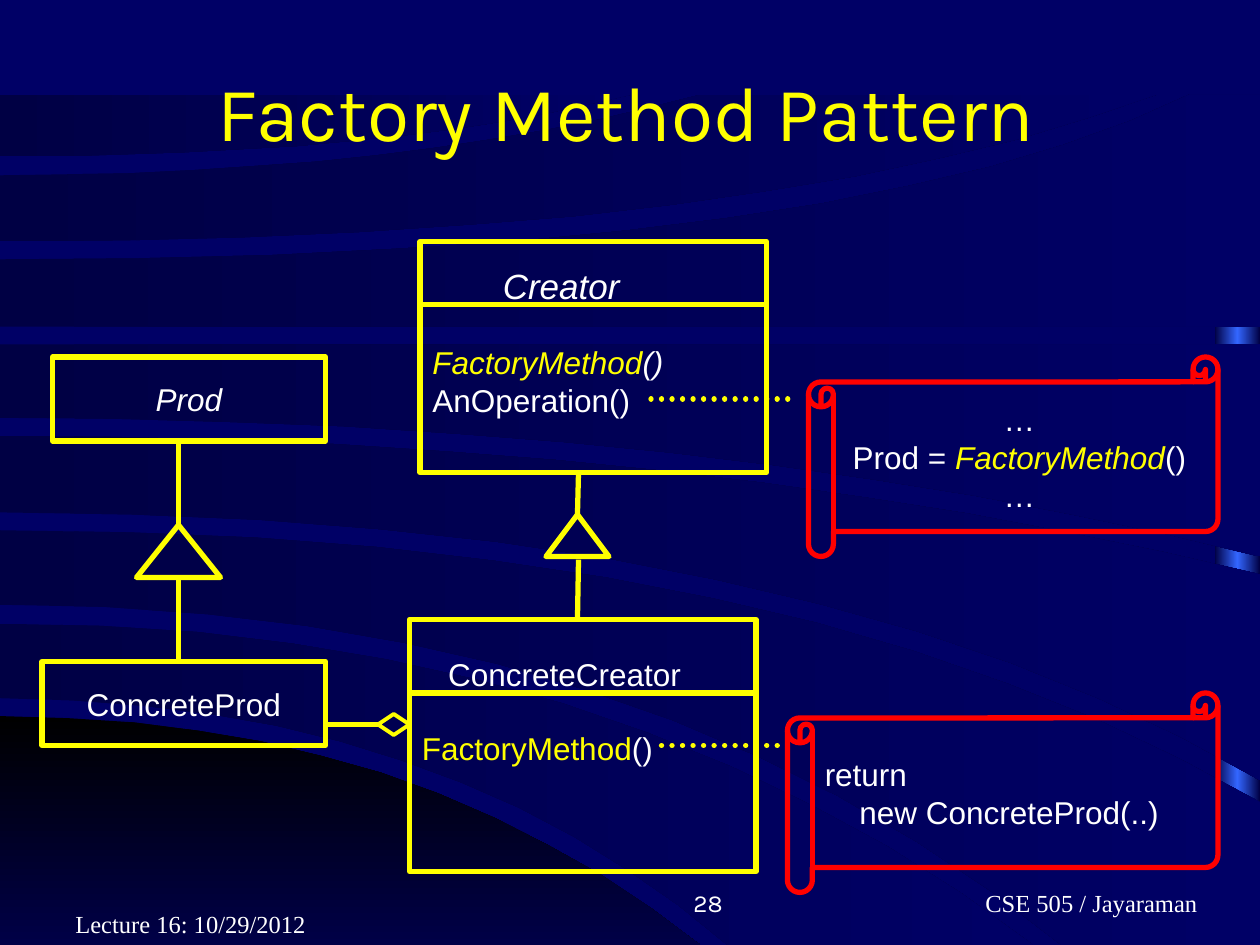
import pptx
import pptx.util
import pptx.dml.color
import pptx.enum.dml
import pptx.enum.shapes
import pptx.enum.text
import pptx.oxml.ns
import lxml.etree as etree

PX = 7620  # EMU per px: 120 px to the inch
HUES = {"back": "000066", "dark": "000044", "black": "000000", "fade": "000047",
        "glow": "3366FF", "main": "FFFF00", "text": "FFFFFF", "note": "FF0000"}
KIND = pptx.enum.shapes.MSO_SHAPE
SIDE = pptx.enum.text.PP_ALIGN
HOLD = pptx.enum.text.MSO_ANCHOR


def tone(name):
    return pptx.dml.color.RGBColor.from_string(HUES[name])


def curve(start, pull, x, y, steps=12):
    """Arc that leaves the left edge level at start, pulled at x = pull, to (x, y)."""
    times = [i / steps for i in range(steps + 1)]
    return [(round(2 * pull * t * (1 - t) + x * t * t),
             round(start + (y - start) * t * t)) for t in times]


def flat(y, x):
    return [(0, y), (x, y)]


class Deck:
    font, size, pen = "Arial", 18, 3

    def __init__(self):
        self.show = pptx.Presentation()
        self.show.slide_width, self.show.slide_height = 1200 * PX, 900 * PX
        self.slide = self.show.slides.add_slide(self.show.slide_layouts[6])
        fill = self.slide.background.fill
        fill.solid()
        fill.fore_color.rgb = tone("back")
        self.shapes = self.slide.shapes

    def blend(self, shape, hues, angle=0):
        """Gradient through evenly spaced hues, without outline."""
        shape.shadow.inherit = False
        shape.line.fill.background()
        shape.fill.gradient()
        shape.fill.gradient_angle = angle
        stops = shape.fill._fill._gradFill.gsLst
        for stop in list(stops):
            stops.remove(stop)
        for i, hue in enumerate(hues):
            spot = str(100000 * i // (len(hues) - 1))
            stop = etree.SubElement(stops, pptx.oxml.ns.qn("a:gs"), pos=spot)
            etree.SubElement(stop, pptx.oxml.ns.qn("a:srgbClr"), val=HUES[hue])

    def block(self, x, y, w, h, hues):
        self.blend(self.shapes.add_shape(KIND.RECTANGLE, x * PX, y * PX, w * PX, h * PX), hues)

    def band(self, top, base, hues=("dark", "back"), angle=0):
        """Area between two arcs, squared off where they end apart."""
        ends = sorted([top[-1], base[-1]])
        points = top + [(ends[1][0], ends[0][1])] + base[::-1]
        form = self.shapes.build_freeform(*points[0], scale=PX)
        form.add_line_segments(points[1:], close=True)
        self.blend(form.convert_to_shape(), hues, angle)

    def fill(self, shape, paras, align, anchor, top, font, size):
        """Each para is (runs, indent px, gap pt, size); a run is (text, hue, italic)."""
        frame = shape.text_frame
        frame.word_wrap = True
        frame.vertical_anchor = anchor
        frame.margin_top = top * PX
        for i, (runs, indent, gap, own) in enumerate(paras):
            para = frame.paragraphs[0] if i == 0 else frame.add_paragraph()
            para.alignment = align
            if indent:
                para._p.get_or_add_pPr().set("marL", str(indent * PX))
                para._p.get_or_add_pPr().set("indent", "0")
            if gap:
                para.space_before = pptx.util.Pt(gap)
            para.font.name, para.font.size = font, pptx.util.Pt(own or size)
            for text, hue, slant in runs:
                run = para.add_run()
                run.text = text
                run.font.color.rgb = tone(hue)
                run.font.italic = slant

    def label(self, x, y, w, h, text, font, size=14, hue="text",
              align=SIDE.LEFT, anchor=HOLD.BOTTOM, indent=0):
        box = self.shapes.add_textbox(x * PX, y * PX, w * PX, h * PX)
        self.fill(box, [line((text, hue, False), indent=indent)], align, anchor, 6, font, size)

    def shape(self, kind, x, y, w, h, paras=(), hue="main", pen=None,
              align=SIDE.CENTER, anchor=HOLD.MIDDLE, top=6):
        shape = self.shapes.add_shape(kind, x * PX, y * PX, w * PX, h * PX)
        shape.shadow.inherit = False
        shape.fill.background()
        shape.line.color.rgb = tone(hue)
        shape.line.width = pptx.util.Pt(pen or self.pen)
        self.fill(shape, paras, align, anchor, top, self.font, self.size)

    def rule(self, x1, y1, x2, y2, dots=False):
        rule = self.shapes.add_connector(pptx.enum.shapes.MSO_CONNECTOR.STRAIGHT,
                                         x1 * PX, y1 * PX, x2 * PX, y2 * PX)
        rule.line.color.rgb = tone("main")
        rule.line.width = pptx.util.Pt(self.pen)
        if dots:
            rule.line.dash_style = pptx.enum.dml.MSO_LINE.ROUND_DOT
            rule.line._get_or_add_ln().set("cap", "rnd")
        etree.SubElement(rule._element.spPr, pptx.oxml.ns.qn("a:effectLst"))


def line(*runs, indent=0, gap=0, size=None):
    return runs, indent, gap, size


def word(text, hue="text", slant=False):
    return text, hue, slant


def main():
    deck = Deck()

    # Backdrop bands, from the lowest up
    deck.block(1157, 92, 43, 808, ("dark", "glow", "dark"))
    deck.band(curve(682, 392, 667, 900), flat(900, 667), ("black", "fade"), 270)
    deck.band(curve(594, 581, 984, 900), curve(665, 418, 693, 900))
    deck.band(curve(505, 758, 1200, 764), curve(576, 611, 1011, 900))
    deck.band(curve(415, 657, 1200, 547), curve(488, 765, 1200, 743))
    deck.band(flat(328, 1200), curve(398, 676, 1200, 530))
    deck.band(curve(247, 816, 1133, 90), flat(311, 1200))
    deck.band(curve(167, 381, 668, 90), curve(230, 729, 1102, 90))
    deck.band(flat(90, 602), curve(149, 370, 602, 90))

    # Title and footer
    deck.label(30, 30, 1080, 150, "Factory Method Pattern", "Karla", 44, "main",
               SIDE.CENTER, HOLD.MIDDLE, indent=53)
    deck.label(790, 820, 380, 60, "CSE 505 / Jayaraman", "Times New Roman",
               align=SIDE.CENTER, indent=119)
    deck.label(450, 820, 250, 60, "28", "Karla", align=SIDE.RIGHT)
    deck.label(60, 840, 250, 60, "Lecture 16: 10/29/2012", "Times New Roman")

    # Product classes
    deck.shape(KIND.RECTANGLE, 50, 340, 260, 80, [line(word("Prod", slant=True))])
    deck.shape(KIND.RECTANGLE, 40, 630, 270, 80, [line(word("ConcreteProd"))])
    deck.shape(KIND.FLOWCHART_EXTRACT, 130, 500, 80, 50)
    deck.rule(170, 630, 170, 550)
    deck.rule(170, 500, 170, 420)

    # Creator classes, with one line of space under each name
    skip = 20.7
    deck.shape(KIND.RECTANGLE, 400, 230, 330, 220, [
        line(word("Creator", slant=True), indent=67, size=20),
        line(word("FactoryMethod", "main", True), word("()", slant=True), gap=skip),
        line(word("AnOperation()"))], align=SIDE.LEFT, anchor=HOLD.TOP, top=22)
    deck.rule(400, 290, 730, 290)
    deck.shape(KIND.RECTANGLE, 390, 590, 330, 240, [
        line(word("ConcreteCreator"), indent=25),
        line(word("FactoryMethod", "main"), word("()"), gap=skip)],
        align=SIDE.LEFT, anchor=HOLD.TOP, top=34)
    deck.rule(390, 660, 720, 660)
    deck.shape(KIND.FLOWCHART_EXTRACT, 520, 490, 60, 40)
    deck.rule(550, 590, 551, 533)
    deck.rule(550, 490, 551, 450)

    # Code notes
    deck.rule(620, 380, 760, 380, dots=True)
    deck.shape(KIND.HORIZONTAL_SCROLL, 770, 340, 390, 190, [
        line(word("…")),
        line(word("Prod = "), word("FactoryMethod", "main", True), word("()")),
        line(word("…"))], "note")
    deck.rule(630, 710, 750, 710, dots=True)
    deck.shape(KIND.HORIZONTAL_SCROLL, 750, 660, 410, 190, [
        line(word("return")),
        line(word("new ConcreteProd(..)"), indent=33)], "note", align=SIDE.LEFT)

    # Link from creator to product
    deck.rule(360, 690, 310, 690)
    deck.shape(KIND.DIAMOND, 360, 680, 30, 20, pen=2.25)

    deck.show.save("out.pptx")


if __name__ == "__main__":
    main()
